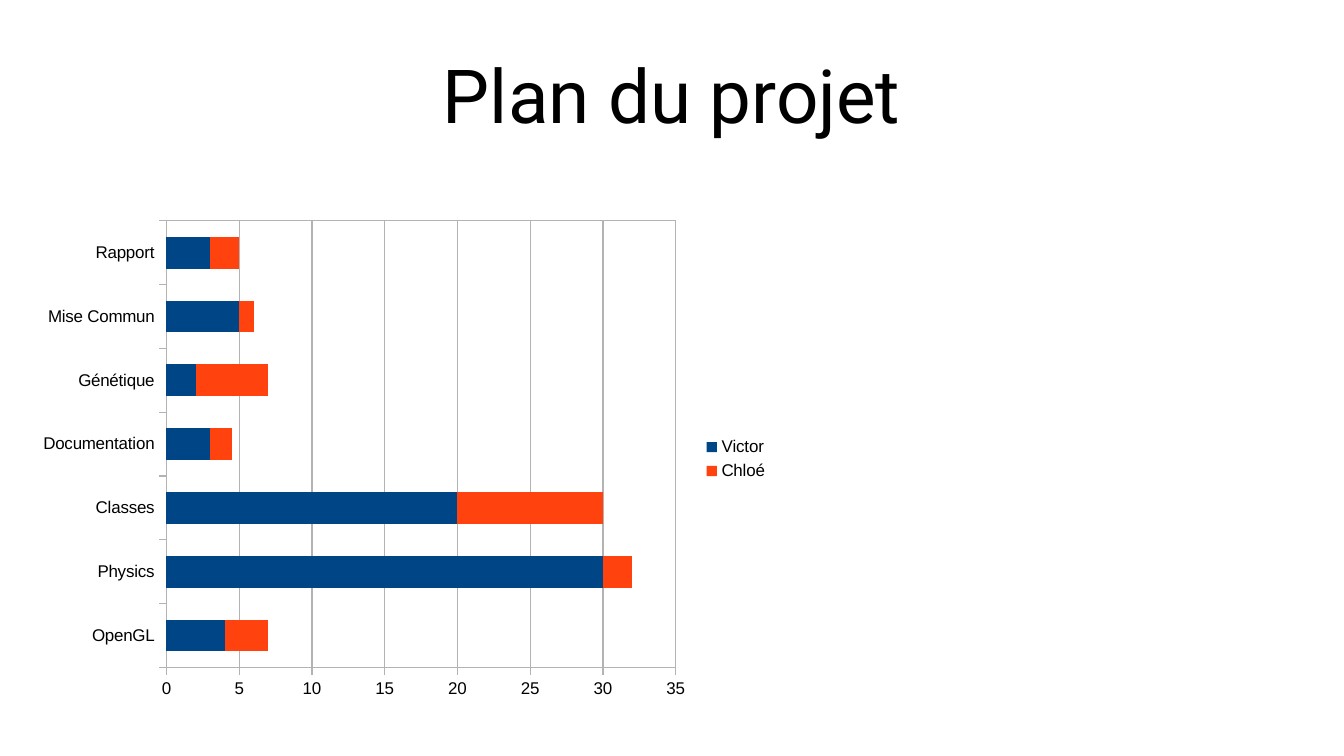
from dataclasses import dataclass

from lxml import etree
from pptx import Presentation
from pptx.chart.chart import Chart
from pptx.chart.data import CategoryChartData
from pptx.dml.color import RGBColor
from pptx.dml.line import LineFormat
from pptx.enum.chart import XL_CHART_TYPE, XL_LEGEND_POSITION, XL_TICK_MARK
from pptx.enum.text import MSO_ANCHOR, PP_ALIGN
from pptx.oxml import parse_xml
from pptx.oxml.ns import nsdecls, qn
from pptx.util import Pt

BAR_STACKED = XL_CHART_TYPE.BAR_STACKED
LEGEND_RIGHT = XL_LEGEND_POSITION.RIGHT
TICK_OUT, TICK_NONE = XL_TICK_MARK.OUTSIDE, XL_TICK_MARK.NONE
MIDDLE, CENTER = MSO_ANCHOR.MIDDLE, PP_ALIGN.CENTER
TITLE_ONLY = 5

COLORS = {"text": "000000", "grid": "B3B3B3", "victor": "004586", "chloe": "FF420E"}
TASKS = ["OpenGL", "Physics", "Classes", "Documentation", "Génétique", "Mise Commun", "Rapport"]
PLOT_LAYOUT = {"x": 0.18, "y": 0.02, "w": 0.68, "h": 0.9}


@dataclass
class Member:
    name: str
    effort: list[float]
    color: str


MEMBERS = [
    Member("Victor", [4, 30, 20, 3, 2, 5, 3], "victor"),
    Member("Chloé", [3, 2, 10, 1.5, 5, 1, 2], "chloe"),
]


def rgb(name: str) -> RGBColor:
    return RGBColor.from_string(COLORS[name])


def format_font(font, size: float, name: str, color: str = "text") -> None:
    font.size, font.name, font.bold = Pt(size), name, False
    font.color.rgb = rgb(color)


def write_text(sp, text: str, *, size: float, font: str, align=CENTER, anchor=MIDDLE) -> None:
    tf = sp.text_frame
    tf.word_wrap = True
    tf.vertical_anchor = anchor
    tf.margin_left = tf.margin_right = tf.margin_top = tf.margin_bottom = Pt(0)
    p = tf.paragraphs[0]
    p.alignment = align
    r = p.add_run()
    r.text = text
    format_font(r.font, size, font)


def draw_line(line: LineFormat) -> None:
    line.color.rgb = rgb("grid")
    line.width = Pt(0)


def frame_plot(chart: Chart) -> None:
    plot_area = chart.element.find(f".//{qn('c:plotArea')}")
    for old in plot_area.findall(qn("c:layout")):
        plot_area.remove(old)
    layout = parse_xml(
        f'<c:layout {nsdecls("c")}><c:manualLayout><c:layoutTarget val="inner"/>'
        '<c:xMode val="edge"/><c:yMode val="edge"/></c:manualLayout></c:layout>'
    )
    for key, value in PLOT_LAYOUT.items():
        etree.SubElement(layout[0], qn(f"c:{key}")).set("val", str(value))
    plot_area.insert(0, layout)
    plot_area.append(parse_xml(
        f'<c:spPr {nsdecls("c", "a")}><a:noFill/><a:ln w="0"><a:solidFill>'
        f'<a:srgbClr val="{COLORS["grid"]}"/></a:solidFill></a:ln></c:spPr>'
    ))


def add_effort_chart(s, left: float, top: float, width: float, height: float) -> None:
    data = CategoryChartData()
    data.categories = TASKS
    for member in MEMBERS:
        data.add_series(member.name, member.effort)
    frame = s.shapes.add_chart(BAR_STACKED, Pt(left), Pt(top), Pt(width), Pt(height), data)
    chart = frame.chart
    chart.has_title = False
    format_font(chart.font, 10, "Arial")

    plot = chart.plots[0]
    plot.gap_width, plot.overlap, plot.vary_by_categories = 100, 100, False
    for series, member in zip(plot.series, MEMBERS):
        series.format.fill.solid()
        series.format.fill.fore_color.rgb = rgb(member.color)
        series.format.line.fill.background()

    for axis in (chart.category_axis, chart.value_axis):
        axis.major_tick_mark, axis.minor_tick_mark = TICK_OUT, TICK_NONE
        format_font(axis.tick_labels.font, 10, "Arial")
        draw_line(axis.format.line)
    values = chart.value_axis
    values.minimum_scale, values.maximum_scale, values.major_unit = 0, 35, 5
    values.has_major_gridlines = True
    draw_line(values.major_gridlines.format.line)

    chart.has_legend = True
    chart.legend.position = LEGEND_RIGHT
    chart.legend.include_in_layout = False
    format_font(chart.legend.font, 10, "Arial")
    frame_plot(chart)


def main() -> None:
    prs = Presentation()
    prs.slide_width, prs.slide_height = Pt(793.44), Pt(446.4)
    s = prs.slides.add_slide(prs.slide_layouts[TITLE_ONLY])
    title = s.shapes.title
    title.left, title.top, title.width, title.height = Pt(39.6), Pt(18), Pt(714.24), Pt(74.88)
    write_text(title, "Plan du projet", size=44, font="Roboto")
    add_effort_chart(s, 18.72, 124.56, 442.08, 293.04)
    prs.save("out.pptx")


if __name__ == "__main__":
    main()
